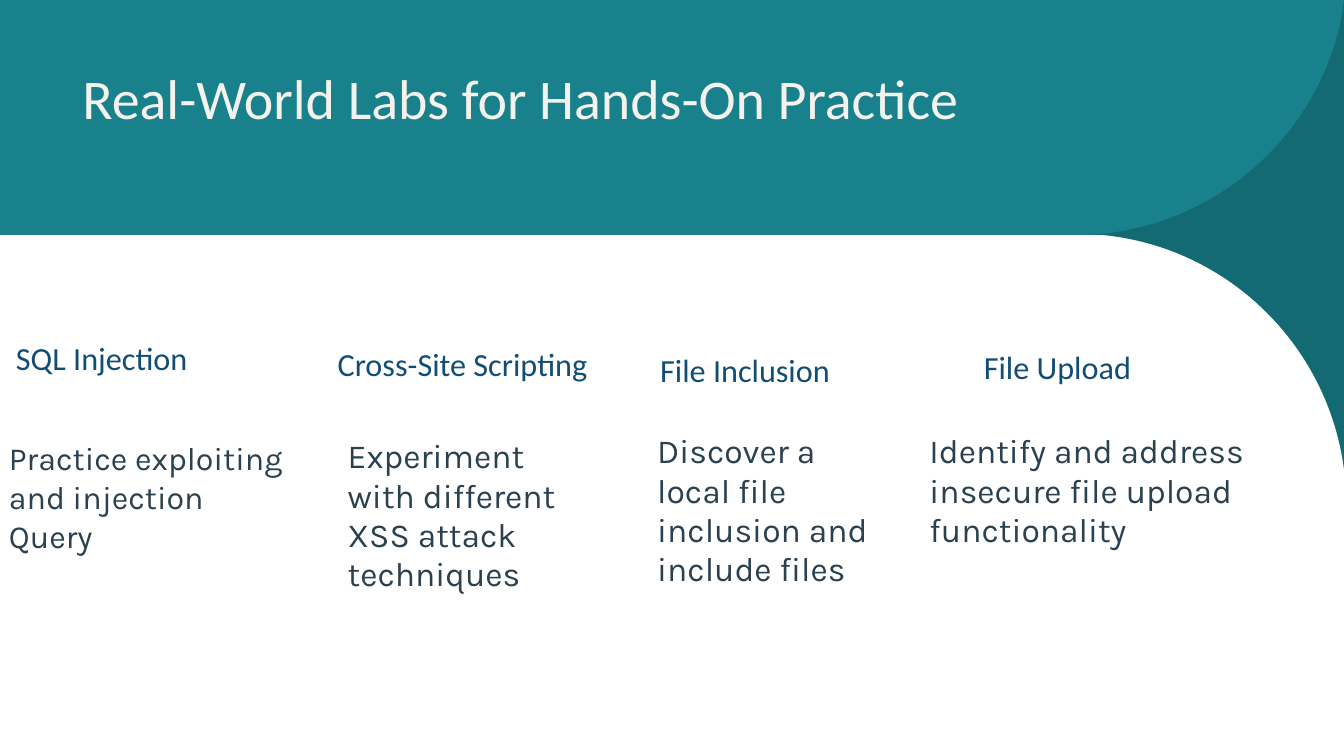
from pptx import Presentation
from pptx.dml.color import RGBColor as Rgb
from pptx.enum.shapes import MSO_SHAPE as Shape
from pptx.enum.text import MSO_AUTO_SIZE as Fit
from pptx.oxml import parse_xml
from pptx.oxml.ns import nsdecls
from pptx.util import Inches, Pt

WHITE = Rgb(0xFF, 0xFF, 0xFF)
TEAL = Rgb(0x18, 0x81, 0x8C)
DEEP = Rgb(0x12, 0x61, 0x69)
CREAM = Rgb(0xF4, 0xF2, 0xEC)
NAVY = Rgb(0x12, 0x4E, 0x73)
SLATE = Rgb(0x2B, 0x41, 0x50)

HEAD = {"name": "Calibri", "color": NAVY, "size": Pt(23)}
BODY = {"name": "Karla", "color": SLATE, "size": Pt(24)}
TITLE = {"name": "Calibri", "color": CREAM, "size": Pt(40)}


class Deck:
    def __init__(self):
        self.prs = Presentation()
        self.prs.slide_width = Inches(13.33)
        self.prs.slide_height = Inches(7.5)
        self.slide = self.prs.slides.add_slide(self.prs.slide_layouts[6])
        self.shapes = self.slide.shapes

    def paint(self, shape, color, alpha=None):
        shape.shadow.inherit = False
        shape.line.fill.background()
        shape.fill.solid()
        shape.fill.fore_color.rgb = color
        if alpha:
            tint = shape.fill._xPr.find(".//{*}srgbClr")
            tint.append(parse_xml(f'<a:alpha {nsdecls("a")} val="{alpha * 1000}"/>'))

    def rect(self, x, y, w, h, color):
        box = map(Inches, (x, y, w, h))
        self.paint(self.shapes.add_shape(Shape.RECTANGLE, *box), color)

    def outline(self, points, bends, color, alpha=None):
        """Closed outline; bends maps a point's index to its two curve handles."""
        first, *rest = [(Inches(x), Inches(y)) for x, y in points]
        build = self.shapes.build_freeform(*first)
        build.add_line_segments(rest, close=True)
        shape = build.convert_to_shape()
        lines = shape._element.findall(".//{*}lnTo")
        for index, handles in bends.items():
            line = lines[index - 1]
            curve = parse_xml(f'<a:cubicBezTo {nsdecls("a")}/>')
            for x, y in handles:
                curve.append(parse_xml(
                    f'<a:pt {nsdecls("a")} x="{Inches(x) - shape.left}"'
                    f' y="{Inches(y) - shape.top}"/>'))
            curve.append(line[0])
            line.getparent().replace(line, curve)
        self.paint(shape, color, alpha)

    def text(self, words, x, y, w, h, style, pitch, after=0):
        box = self.shapes.add_textbox(*map(Inches, (x, y, w, h)))
        frame = box.text_frame
        frame.word_wrap = True
        frame.auto_size = Fit.SHAPE_TO_FIT_TEXT
        para = frame.paragraphs[0]
        para.line_spacing = Pt(pitch)
        para.space_after = Pt(after)
        run = para.add_run()
        run.text = words
        for key, value in style.items():
            if key == "color":
                run.font.color.rgb = value
            else:
                setattr(run.font, key, value)


def main():
    deck = Deck()

    # Page and title band
    deck.rect(0, 0, 13.33, 7.5, WHITE)
    deck.rect(0, 0, 13.35, 2.33, TEAL)

    # Curved corner: a teal base under a darker veil
    corner = [(13.35, 0), (13.33, 0), (13.31, 0.15), (10.93, 2.32),
              (10.78, 2.32), (10.93, 2.33), (13.34, 4.73), (13.35, 4.8)]
    bends = {3: [(13.09, 1.31), (12.12, 2.2)],
             6: [(12.2, 2.45), (13.21, 3.46)]}
    for color, alpha in ((TEAL, None), (DEEP, 70)):
        deck.outline(corner, bends, color, alpha)

    # Title
    deck.text("Real-World Labs for Hands-On Practice",
              0.72, 0.49, 10.06, 0.84, TITLE, 54.7)

    # Lab headings
    for words, x, y, w, h, pitch, after in (
            ("SQL Injection", 0.06, 3.2, 2.41, 0.55, 35, 6),
            ("Cross-Site Scripting", 3.25, 3.26, 3.72, 0.55, 35, 6),
            ("File Inclusion", 6.45, 3.32, 2.34, 0.55, 35, 6),
            ("File Upload", 9.66, 3.4, 2.26, 0.48, 27.3, 0)):
        deck.text(words, x, y, w, h, HEAD, pitch, after)

    # Lab descriptions
    for words, x, y, w, h, size in (
            ("Practice exploiting and injection Query", -0.01, 4.29, 2.94, 0.87, 23),
            ("Experiment with different XSS attack techniques",
             3.35, 4.28, 2.56, 1.67, 24),
            ("Discover a local file inclusion and include files",
             6.42, 4.23, 2.36, 1.67, 24),
            ("Identify and address insecure file upload functionality",
             9.12, 4.23, 3.71, 1.28, 24)):
        deck.text(words, x, y, w, h, BODY | {"size": Pt(size)}, 28)

    deck.prs.save("out.pptx")


if __name__ == "__main__":
    main()
